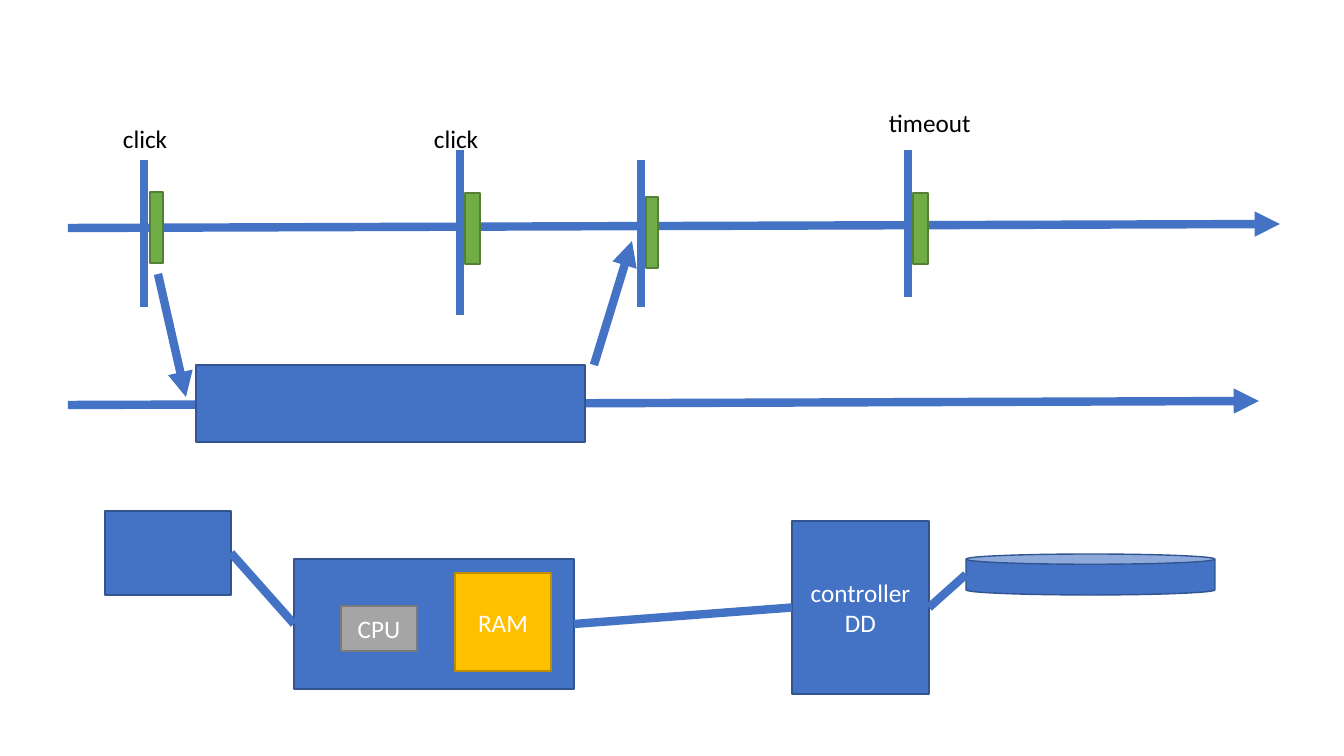
"""Build a slide of event timelines above a computer and disk diagram."""
import pptx
import pptx.dml.color
import pptx.enum.shapes
import pptx.enum.text
import pptx.oxml
import pptx.oxml.ns
import pptx.util

SCALE = 914400 / 100.8
BLUE, BLUE_EDGE = "4472C4", "325491"
GREEN, GREEN_EDGE = "70AD47", "538035"
BAR_HEIGHT = 71
RECT = pptx.enum.shapes.MSO_SHAPE.RECTANGLE
CAN = pptx.enum.shapes.MSO_SHAPE.CAN

ARROWS = [
    (68, 228, 1280, 224),
    (68, 405, 1259, 401),
    (158, 274, 186, 397),
    (594, 365, 632, 241),
]
EVENTS = [
    {"tick": (144, 160, 307), "bar": (150, 192, 13)},
    {"tick": (460, 150, 315), "bar": (465, 193, 15)},
    {"tick": (641, 160, 307), "bar": (646, 197, 12)},
    {"tick": (908, 150, 297), "bar": (913, 193, 15)},
]
LABELS = [
    ("click", 113, 118, 66, 40),
    ("click", 424, 118, 66, 40),
    ("timeout", 879, 102, 103, 40),
]
BOXES = {
    "disk task": (RECT, (196, 365, 389, 77), BLUE, BLUE_EDGE, ""),
    "keyboard": (RECT, (105, 511, 126, 84), BLUE, BLUE_EDGE, ""),
    "computer": (RECT, (294, 559, 280, 130), BLUE, BLUE_EDGE, ""),
    "cpu": (RECT, (341, 606, 76, 45), "A5A5A5", "7A7A7A", "CPU"),
    "ram": (RECT, (455, 573, 96, 98), "FFC000", "BD8E00", "RAM"),
    "controller": (RECT, (792, 521, 137, 173), BLUE, BLUE_EDGE, "controller DD"),
    "disk": (CAN, (966, 554, 249, 41), BLUE, BLUE_EDGE, ""),
}
LINKS = [("keyboard", "computer"), ("computer", "controller"), ("controller", "disk")]


def px(*values):
    return [pptx.util.Emu(round(v * SCALE)) for v in values]


def color(value):
    return pptx.dml.color.RGBColor.from_string(value)


def write(sp, text, hue, **formats):
    tf = sp.text_frame
    for name, value in formats.items():
        setattr(tf, name, value)
    p = tf.paragraphs[0]
    r = p.add_run()
    r.text = text
    for name, value in {"name": "Calibri", "size": pptx.util.Pt(18)}.items():
        setattr(r.font, name, value)
    r.font.color.rgb = color(hue)
    return p


def add_line(x1, y1, x2, y2, arrow=False):
    kind = pptx.enum.shapes.MSO_CONNECTOR.STRAIGHT
    line = s.shapes.add_connector(kind, *px(x1, y1, x2, y2))
    line.line.color.rgb = color(BLUE)
    line.line.width = pptx.util.Pt(6)
    if arrow:
        tail = pptx.oxml.parse_xml(
            f'<a:tailEnd {pptx.oxml.ns.nsdecls("a")} type="triangle"/>')
        line.line._get_or_add_ln().append(tail)
    line._element.spPr.append(
        pptx.oxml.parse_xml(f'<a:effectLst {pptx.oxml.ns.nsdecls("a")}/>'))


def add_box(kind, place, fill, edge, text=""):
    sp = s.shapes.add_shape(kind, *px(*place))
    sp.shadow.inherit = False
    sp.fill.solid()
    sp.fill.fore_color.rgb = color(fill)
    sp.line.color.rgb = color(edge)
    sp.line.width = pptx.util.Pt(1)
    if text:
        p = write(sp, text, "FFFFFF", word_wrap=True,
                  vertical_anchor=pptx.enum.text.MSO_ANCHOR.MIDDLE)
        p.alignment = pptx.enum.text.PP_ALIGN.CENTER


prs = pptx.Presentation()
prs.slide_width, prs.slide_height = px(1344, 756)
s = prs.slides.add_slide(prs.slide_layouts[6])

for arrow in ARROWS:
    add_line(*arrow, arrow=True)

for event in EVENTS:
    x, top, bottom = event["tick"]
    add_line(x, top, x, bottom)
    add_box(RECT, (*event["bar"], BAR_HEIGHT), GREEN, GREEN_EDGE)

for text, *place in LABELS:
    sp = s.shapes.add_textbox(*px(*place))
    write(sp, text, "000000", word_wrap=False,
          auto_size=pptx.enum.text.MSO_AUTO_SIZE.SHAPE_TO_FIT_TEXT)

for box in BOXES.values():
    add_box(*box)

for start, end in LINKS:
    left, top, width, height = BOXES[start][1]
    end_left, end_top, _, end_height = BOXES[end][1]
    add_line(left + width, top + height / 2, end_left, end_top + end_height / 2)

prs.save("out.pptx")
